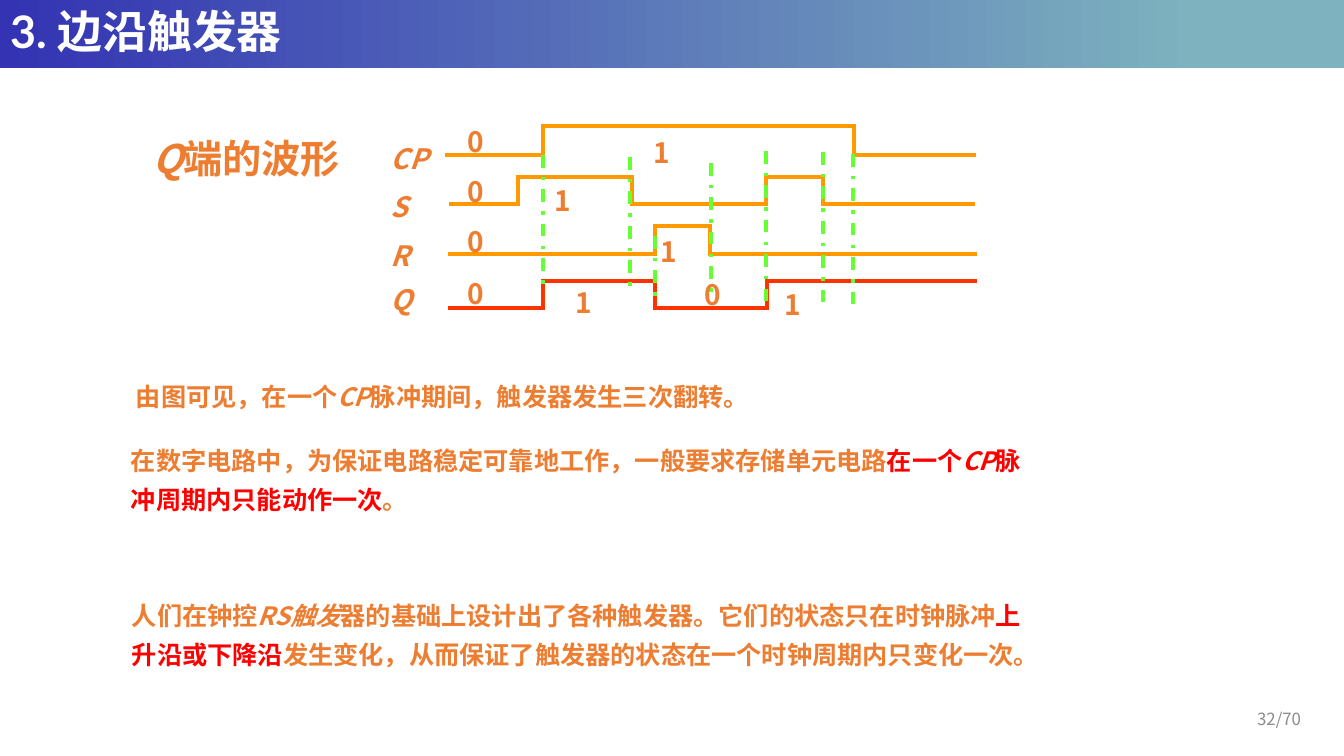
from lxml.etree import SubElement
from pptx import Presentation
from pptx.dml.color import RGBColor
from pptx.enum.dml import MSO_LINE
from pptx.enum.shapes import MSO_CONNECTOR, MSO_SHAPE
from pptx.enum.text import MSO_ANCHOR, PP_ALIGN
from pptx.oxml.ns import qn
from pptx.util import Pt

PX = 914400 / 100.8
FONT = "Noto Sans CJK SC"
INDIGO, TEAL = RGBColor(0x33, 0x33, 0xB3), RGBColor(0x7D, 0xB2, 0xBE)
WHITE, GREY = RGBColor(0xFF, 0xFF, 0xFF), RGBColor(0x8C, 0x8C, 0x8C)
ORANGE, RED = RGBColor(0xED, 0x7D, 0x31), RGBColor(0xFF, 0, 0)
AMBER, SCARLET = RGBColor(0xFF, 0x99, 0), RGBColor(0xFF, 0x33, 0)
GREEN = RGBColor(0x66, 0xFF, 0x33)

WIDTH, HEIGHT, BAR_HEIGHT = 1344, 756, 68
TITLE = "3. 边沿触发器"

# name, colour, low y, high y, x of start, edges and end, name y, zero y
SIGNALS = [
    ("CP", AMBER, 155, 126, (445, 543, 854, 976), 142, 125),
    ("S", AMBER, 204, 177, (449, 518, 632, 766, 823, 975), 190, 175),
    ("R", AMBER, 254, 226, (448, 655, 710, 977), 239, 225),
    ("Q", SCARLET, 308, 281, (448, 543, 655, 767, 977), 283, 277),
]
NAME_X, ZERO_X = 391, 467
GUIDES = [(543, 155, 288), (630, 157, 290), (655, 236, 304), (711, 163, 296),
          (766, 151, 306), (823, 152, 307), (853, 154, 310)]
LEVELS = [("1", 653, 136), ("1", 555, 184), ("1", 661, 235),
          ("1", 576, 286), ("1", 784, 288), ("0", 705, 278)]

# box, size, line spacing, anchor, runs of (text, colour, italic)
PARAGRAPHS = [
    ((143, 129, 207, 57), 28, 1, MSO_ANCHOR.TOP,
     [("Q", ORANGE, True), ("端的波形", ORANGE, False)]),
    ((126, 371, 848, 50), 18, 1, MSO_ANCHOR.MIDDLE,
     [("由图可见，在一个", ORANGE, False), ("CP", ORANGE, True),
      ("脉冲期间，触发器发生三次翻转。", ORANGE, False)]),
    ((121, 431, 928, 116), 18, 1.3, MSO_ANCHOR.TOP,
     [("在数字电路中，为保证电路稳定可靠地工作，一般要求存储单元电路", ORANGE, False),
      ("在一个", RED, False), ("CP", RED, True),
      ("脉冲周期内只能动作一次", RED, False), ("。", ORANGE, False)]),
    ((122, 546, 911, 169), 18, 1.3, MSO_ANCHOR.MIDDLE,
     [("人们在钟控", ORANGE, False), ("RS触发", ORANGE, True),
      ("器的基础上设计出了各种触发器。它们的状态只在时钟脉冲", ORANGE, False),
      ("上升沿或下降沿", RED, False),
      ("发生变化，从而保证了触发器的状态在一个时钟周期内只变化一次。", ORANGE, False)]),
]
PAGE, PAGE_BOX = "32/70", (1208, 699, 103, 40)


def emu(*lengths):
    """Turn px lengths into EMU."""
    return [round(length * PX) for length in lengths]


def style(run, size, color, bold=True, italic=False, latin=FONT):
    """Format one run, with the same font for Chinese text."""
    font = run.font
    font.size, font.bold, font.italic, font.name = Pt(size), bold, italic, latin
    font.color.rgb = color
    SubElement(run._r.get_or_add_rPr(), qn("a:ea")).set("typeface", FONT)


def add_text(shapes, box, runs, size, bold=True, inset=True):
    """Add a wrapped text box and return its frame."""
    frame = shapes.add_textbox(*emu(*box)).text_frame
    frame.word_wrap = True
    if not inset:
        frame.margin_left = frame.margin_right = 0
        frame.margin_top = frame.margin_bottom = 0
    for text, color, italic in runs:
        run = frame.paragraphs[0].add_run()
        run.text = text
        style(run, size, color, bold, italic)
    return frame


def add_line(shapes, start, end, color, width=3, dash=None):
    """Add a straight line without a shadow."""
    line = shapes.add_connector(MSO_CONNECTOR.STRAIGHT, *emu(*start, *end))
    line.line.color.rgb = color
    line.line.width = Pt(width)
    if dash:
        line.line.dash_style = dash
    SubElement(line._element.spPr, qn("a:effectLst"))


def add_header(slide):
    """Place the title over its gradient bar."""
    title = slide.shapes.title
    bar = slide.shapes.add_shape(MSO_SHAPE.RECTANGLE, *emu(0, 0, WIDTH, BAR_HEIGHT))
    bar.shadow.inherit = False
    bar.line.fill.background()
    bar.fill.gradient()
    bar.fill.gradient_angle = 0
    for stop, color, position in zip(bar.fill.gradient_stops, (INDIGO, TEAL), (0, 0.89)):
        stop.color.rgb, stop.position = color, position
    title._element.addprevious(bar._element)
    title.left, title.top, title.width, title.height = emu(0, 0, WIDTH, BAR_HEIGHT)
    title.text_frame.text = TITLE
    title.text_frame.vertical_anchor = MSO_ANCHOR.MIDDLE
    heading = title.text_frame.paragraphs[0]
    heading.alignment, heading.line_spacing = PP_ALIGN.LEFT, 0.9
    style(heading.runs[0], 32, WHITE, latin="Lato")


def add_diagram(shapes):
    """Draw the waveforms, guides and level labels."""
    for name, color, low, high, xs, name_y, zero_y in SIGNALS:
        for i, (left, right) in enumerate(zip(xs, xs[1:])):
            y = high if i % 2 else low
            add_line(shapes, (left, y), (right, y), color)
        for edge in xs[1:-1]:
            add_line(shapes, (edge, high - 2), (edge, low + 2), color)
        add_text(shapes, (NAME_X, name_y, 57, 13), [(name, ORANGE, True)], 20, inset=False)
        add_text(shapes, (ZERO_X, zero_y, 31, 13), [("0", ORANGE, False)], 20, inset=False)
    for x, top, bottom in GUIDES:
        add_line(shapes, (x, top), (x, bottom), GREEN, 2.25, MSO_LINE.DASH_DOT)
    for level, x, y in LEVELS:
        add_text(shapes, (x, y, 31, 13), [(level, ORANGE, False)], 20, inset=False)


def main():
    """Build the slide."""
    deck = Presentation()
    deck.slide_width, deck.slide_height = emu(WIDTH, HEIGHT)
    slide = deck.slides.add_slide(deck.slide_layouts[5])
    add_header(slide)
    add_diagram(slide.shapes.add_group_shape().shapes)
    for box, size, spacing, anchor, runs in PARAGRAPHS:
        frame = add_text(slide.shapes, box, runs, size)
        frame.vertical_anchor = anchor
        frame.paragraphs[0].line_spacing = spacing
    page = add_text(slide.shapes, PAGE_BOX, [(PAGE, GREY, False)], 12, bold=False)
    page.vertical_anchor = MSO_ANCHOR.MIDDLE
    page.paragraphs[0].alignment = PP_ALIGN.RIGHT
    deck.save("out.pptx")


if __name__ == "__main__":
    main()
